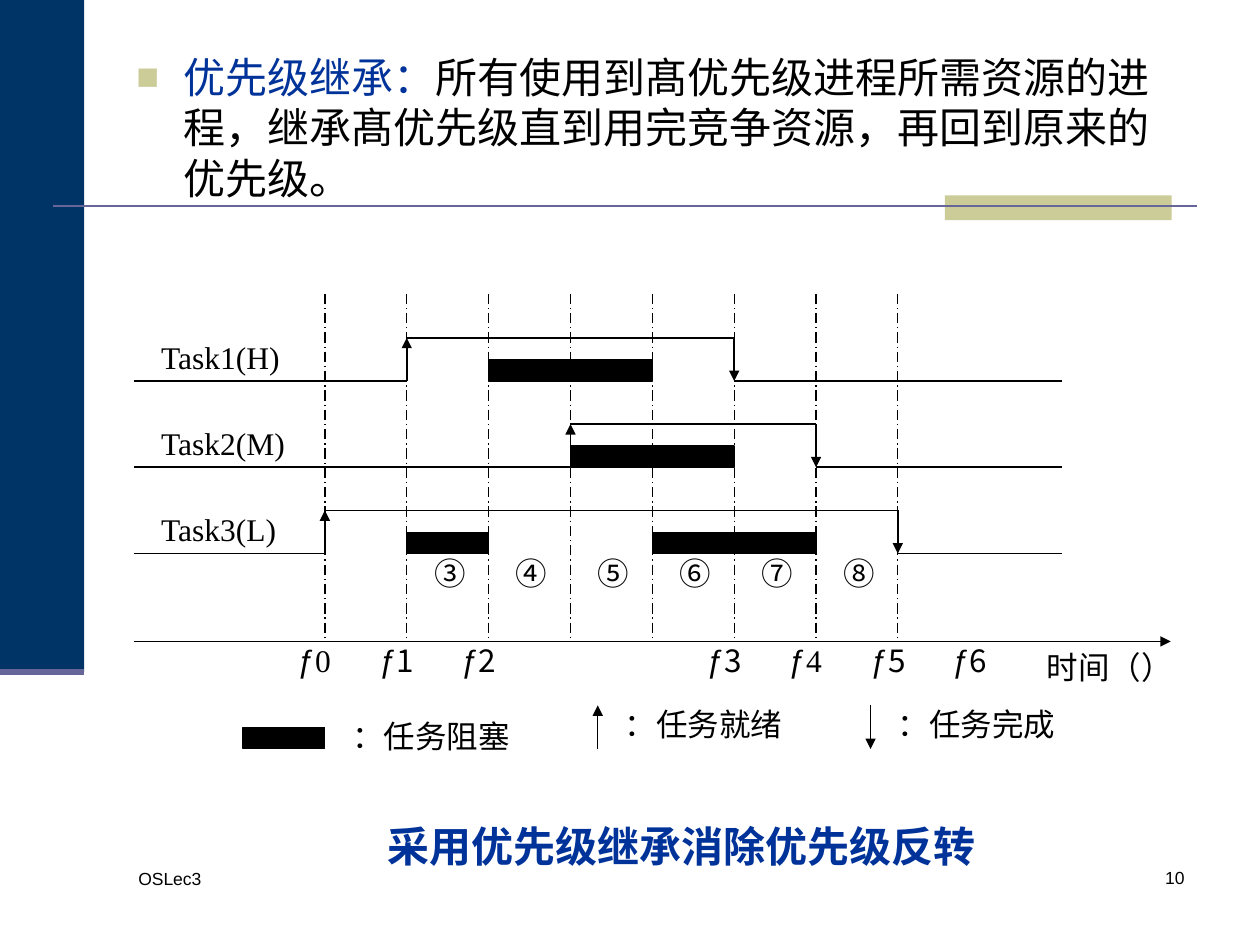
"""Build the slide on priority inheritance with its task timing chart."""
from lxml import etree
from pptx import Presentation
from pptx.dml.color import RGBColor
from pptx.enum.dml import MSO_LINE
from pptx.enum.shapes import MSO_CONNECTOR, MSO_SHAPE
from pptx.enum.text import MSO_ANCHOR, PP_ALIGN
from pptx.oxml.ns import qn
from pptx.util import Cm, Pt

LINE = MSO_CONNECTOR.STRAIGHT
RECT = MSO_SHAPE.RECTANGLE
DASH = MSO_LINE.LONG_DASH_DOT
LEFT, RIGHT, JUST = PP_ALIGN.LEFT, PP_ALIGN.RIGHT, PP_ALIGN.JUSTIFY
MIDDLE = MSO_ANCHOR.MIDDLE
BLACK, BLUE, NAVY, SAND, PURPLE = "000000", "003399", "003366", "CCCC99", "666699"
SANS, SERIF, HAN = "Arial", "Times New Roman", "Noto Sans CJK SC"

TITLE = [
    ("优先级继承：", SANS, BLUE),
    ("所有使用到髙优先级进程所需资源的进程，继承髙优先级直到用完竞争资源，再回到原来的优先级。", SANS, BLACK),
]
CAPTION = "采用优先级继承消除优先级反转"
TASKS = [
    ("Task1(H)", 1, 5, [(2, 4)]),
    ("Task2(M)", 3, 6, [(3, 5)]),
    ("Task3(L)", 0, 7, [(1, 2), (4, 6)]),
]
STAGES = "③④⑤⑥⑦⑧"
TIMES = [("0", 0, SERIF), ("1", 1, HAN), ("2", 2, HAN), ("3", 5, HAN),
         ("4", 6, SERIF), ("5", 7, HAN), ("6", 8, HAN)]
KEYS = [("：任务就绪", 12.05, 15.1, 14.22), ("：任务完成", 17.55, 14.22, 15.1)]

START, STEP, TICKS = 6.55, 1.65, 8
FIRST, PITCH, RISE = 6.81, 1.74, 0.87
EDGE, END = 2.7, 21.4
TOP, AXIS = 5.92, 12.93
BAR, TEXT = 0.43, 0.86


def tick(n):
    return START + n * STEP


def color(code):
    return RGBColor.from_string(code)


def rect(x, y, w, h, fill, edge=False):
    box = slide.shapes.add_shape(RECT, Cm(x), Cm(y), Cm(w), Cm(h))
    box.shadow.inherit = False
    box.fill.solid()
    box.fill.fore_color.rgb = color(fill)
    if edge:
        box.line.color.rgb = color(fill)
        box.line.width = Pt(0.75)
    else:
        box.line.fill.background()


def line(x1, y1, x2, y2, width=0.75, tint=BLACK, head=False, dash=None):
    link = slide.shapes.add_connector(LINE, Cm(x1), Cm(y1), Cm(x2), Cm(y2))
    link.line.color.rgb = color(tint)
    link.line.width = Pt(width)
    if dash:
        link.line.dash_style = dash
    if head:
        etree.SubElement(link.line._get_or_add_ln(), qn("a:tailEnd"), type="triangle")
    etree.SubElement(link._element.spPr, qn("a:effectLst"))


def text(x, y, w, h, runs, size=18, align=JUST, pad=False, wrap=True, bold=False):
    frame = slide.shapes.add_textbox(Cm(x), Cm(y), Cm(w), Cm(h)).text_frame
    frame.word_wrap = wrap
    if not pad:
        frame.margin_left = frame.margin_right = 0
        frame.margin_top = frame.margin_bottom = 0
    para = frame.paragraphs[0]
    para.alignment = align
    for words, face, tint in runs:
        run = para.add_run()
        run.text = words
        run.font.name = face
        run.font.size = Pt(size)
        run.font.bold = bold
        run.font.color.rgb = color(tint)
    return frame


def bullet(para):
    para.space_before = Pt(6)
    props = para._p.get_or_add_pPr()
    props.set("marL", str(Cm(0.95)))
    props.set("indent", str(-Cm(0.95)))
    tint = etree.SubElement(props, qn("a:buClr"))
    etree.SubElement(tint, qn("a:srgbClr"), val=SAND)
    etree.SubElement(props, qn("a:buSzPct"), val="90000")
    etree.SubElement(props, qn("a:buFont"), typeface=SANS)
    etree.SubElement(props, qn("a:buChar"), char="■")


def frame_page():
    rect(0, 0, 1.7, 13.55, NAVY)
    rect(19.05, 3.94, 4.57, 0.5, SAND)
    line(1.06, 4.15, 24.13, 4.15, 1.5, PURPLE)
    line(0, 13.55, 1.7, 13.55, 3.5, PURPLE)
    text(2.54, 17.37, 5.5, 1.27, [("OSLec3", SANS, BLACK)], 10, LEFT, True)
    text(18.85, 17.35, 5.28, 1.27, [("10", SANS, BLACK)], 10, RIGHT, True)
    body = text(2.5, 0.91, 21.6, 4.47, TITLE, 24, LEFT, True)
    bullet(body.paragraphs[0])
    note = text(7.57, 16.41, 12.55, 1.27, [(CAPTION, SANS, BLUE)],
                24, LEFT, True, False, True)
    note.vertical_anchor = MIDDLE


def draw_axis():
    line(EDGE, AXIS, 23.6, AXIS, head=True)
    for n in range(TICKS):
        line(tick(n), TOP, tick(n), AXIS, dash=DASH)
    for n, mark in enumerate(STAGES, 1):
        text(tick(n) + 0.55, 11.17, 1.1, TEXT, [(mark, HAN, BLACK)])
    for num, n, face in TIMES:
        text(tick(n) - 0.55, AXIS, 1.1, TEXT, [("ƒ", SANS, BLACK), (num, face, BLACK)])
    text(20.85, AXIS, 3.86, 1.32, [("时间（）", SERIF, BLACK)], pad=True)


def draw_tasks():
    for row, (name, ready, done, waits) in enumerate(TASKS):
        high = FIRST + row * PITCH
        low = high + RISE
        up, down = tick(ready), tick(done)
        line(EDGE, low, up, low, 1)
        line(up, low, up, high, 1, head=True)
        line(up, high, down, high, 1)
        line(down, high, down, low, 1, head=True)
        line(down, low, END, low, 1)
        for a, b in waits:
            rect(tick(a), low - BAR, (b - a) * STEP, BAR, BLACK, True)
        text(3.25, high, 2.77, TEXT, [(name, SERIF, BLACK)])


def draw_key():
    rect(4.9, 14.66, STEP, BAR, BLACK, True)
    text(7.1, 14.45, 3.3, TEXT, [("：任务阻塞", SERIF, BLACK)])
    for words, x, y1, y2 in KEYS:
        line(x, y1, x, y2, head=True)
        text(x + 0.55, 14.22, 3.3, TEXT, [(words, SERIF, BLACK)])


deck = Presentation()
deck.slide_width, deck.slide_height = Cm(25.4), Cm(19.05)
slide = deck.slides.add_slide(deck.slide_layouts[6])
frame_page()
draw_axis()
draw_tasks()
draw_key()
deck.save("out.pptx")
